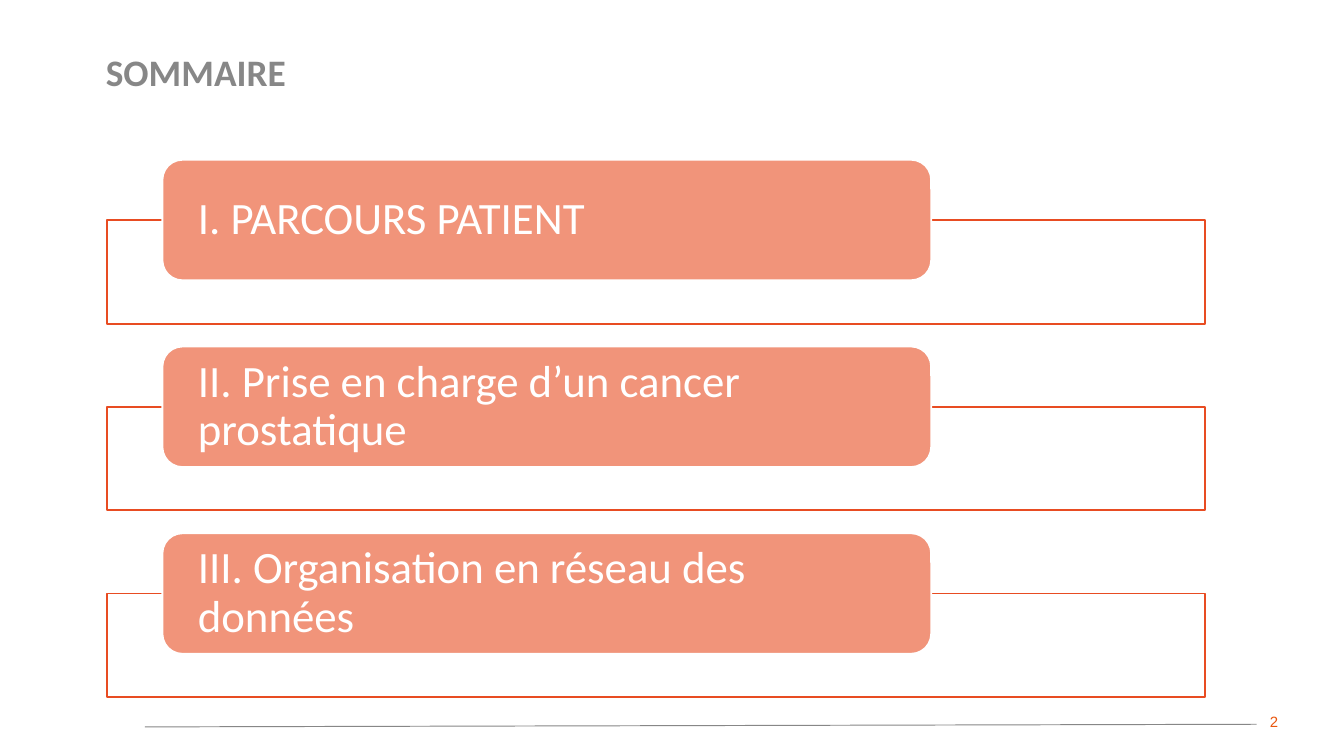
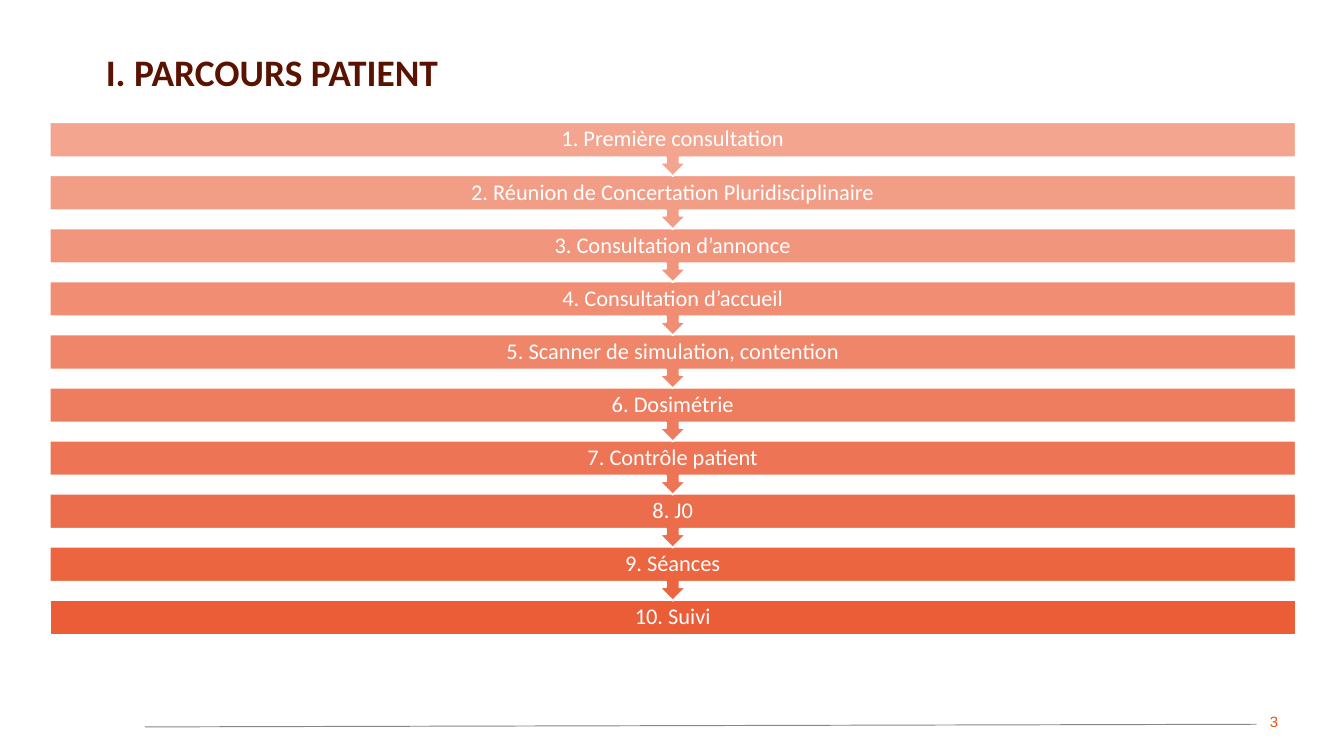
import lxml.etree
import pptx
import pptx.dml.color
import pptx.enum.shapes
import pptx.enum.text
import pptx.oxml.ns
import pptx.util

Cm = pptx.util.Cm
Pt = pptx.util.Pt
SHAPE = pptx.enum.shapes.MSO_SHAPE
ALIGN = pptx.enum.text.PP_ALIGN
ANCHOR = pptx.enum.text.MSO_ANCHOR
qn = pptx.oxml.ns.qn

WHITE = "FFFFFF"
GREY = "878787"
ORANGE = "E84C22"
SALMON = "F1947A"
BROWN = "591300"
NUMBER_ORANGE = "EA560D"

CHAPTERS = [
    "I. PARCOURS PATIENT",
    "II. Prise en charge d’un cancer prostatique",
    "III. Organisation en réseau des données",
]
STEPS = [
    "1. Première consultation",
    "2. Réunion de Concertation Pluridisciplinaire",
    "3. Consultation d’annonce",
    "4. Consultation d’accueil",
    "5. Scanner de simulation, contention",
    "6. Dosimétrie",
    "7. Contrôle patient",
    "8. J0",
    "9. Séances",
    "10. Suivi",
]
CHAPTER_TOP, CHAPTER_PITCH = 3.02, 3.53
FRAME_DROP = 1.14
FIRST_STEP_TOP, LAST_STEP_TOP = 2.31, 11.34
FIRST_OPACITY, LAST_OPACITY = 50, 90


def colour(value):
    return pptx.dml.color.RGBColor.from_string(value)


def write(frame, text, size, text_colour, font="Calibri", bold=False,
          spacing=0.9, align=ALIGN.LEFT):
    frame.word_wrap = True
    para = frame.paragraphs[0]
    para.text = text
    para.alignment = align
    para.line_spacing = spacing
    para.font.name = font
    para.font.size = Pt(size)
    para.font.bold = bold
    para.font.color.rgb = colour(text_colour)


def add_text(page, left, top, width, height, text, size, text_colour, **style):
    box = page.shapes.add_textbox(Cm(left), Cm(top), Cm(width), Cm(height))
    write(box.text_frame, text, size, text_colour, **style)


def add_block(page, kind, left, top, width, height, fill, line, opacity=100):
    """Add an outlined preset shape; opacity is in percent."""
    block = page.shapes.add_shape(kind, Cm(left), Cm(top), Cm(width), Cm(height))
    block.shadow.inherit = False
    block.fill.solid()
    block.fill.fore_color.rgb = colour(fill)
    block.line.color.rgb = colour(line)
    block.line.width = Pt(1)
    if opacity < 100:
        fill_colour = block.element.spPr.find(qn("a:solidFill"))[0]
        alpha = lxml.etree.SubElement(fill_colour, qn("a:alpha"))
        alpha.set("val", str(round(opacity * 1000)))
    return block


def label_block(block, text, size, side_inset, align):
    frame = block.text_frame
    frame.margin_left = frame.margin_right = Cm(side_inset)
    frame.margin_top = frame.margin_bottom = 0
    frame.vertical_anchor = ANCHOR.MIDDLE
    write(frame, text, size, WHITE, align=align)


def add_footer(page, number):
    rule = page.shapes.add_connector(
        pptx.enum.shapes.MSO_CONNECTOR.STRAIGHT,
        Cm(2.74), Cm(13.74), Cm(23.75), Cm(13.69))
    rule.line.color.rgb = colour(GREY)
    rule.line.width = Pt(0.5)
    lxml.etree.SubElement(rule.element.spPr, qn("a:effectLst"))
    add_text(page, 23.75, 13.39, 1.09, 0.64, str(number), 8, NUMBER_ORANGE,
             font="Arial")


def add_page(deck, number, title, title_colour):
    page = deck.slides.add_slide(deck.slide_layouts[6])
    add_footer(page, number)
    add_text(page, 1.75, 0.94, 21.89, 1.37, title, 20, title_colour,
             bold=True, spacing=0.85)
    return page


def add_chapter(page, top, text):
    add_block(page, SHAPE.RECTANGLE, 2.03, top + FRAME_DROP, 20.75, 1.96,
              WHITE, ORANGE, opacity=90)
    label = add_block(page, SHAPE.ROUNDED_RECTANGLE, 3.07, top, 14.53, 2.28,
                      SALMON, WHITE)
    label_block(label, text, 24, 0.56, ALIGN.LEFT)


def add_steps(page, steps):
    """Stack the steps from the last up, each callout pointing to the next."""
    last = len(steps) - 1
    for index in range(last, -1, -1):
        share = index / last
        top = FIRST_STEP_TOP + share * (LAST_STEP_TOP - FIRST_STEP_TOP)
        opacity = FIRST_OPACITY + share * (LAST_OPACITY - FIRST_OPACITY)
        if index == last:
            kind, height = SHAPE.RECTANGLE, 0.66
        else:
            kind, height = SHAPE.DOWN_ARROW_CALLOUT, 1.02
        block = add_block(page, kind, 0.94, top, 23.55, height, ORANGE, WHITE,
                          opacity)
        label_block(block, steps[index], 12, 0.23, ALIGN.CENTER)


def main():
    deck = pptx.Presentation()
    deck.slide_width = Cm(25.4)
    deck.slide_height = Cm(14.29)

    summary = add_page(deck, 2, "SOMMAIRE", GREY)
    for index, chapter in enumerate(CHAPTERS):
        add_chapter(summary, CHAPTER_TOP + index * CHAPTER_PITCH, chapter)

    pathway = add_page(deck, 3, CHAPTERS[0], BROWN)
    add_steps(pathway, STEPS)

    deck.save("out.pptx")


if __name__ == "__main__":
    main()
